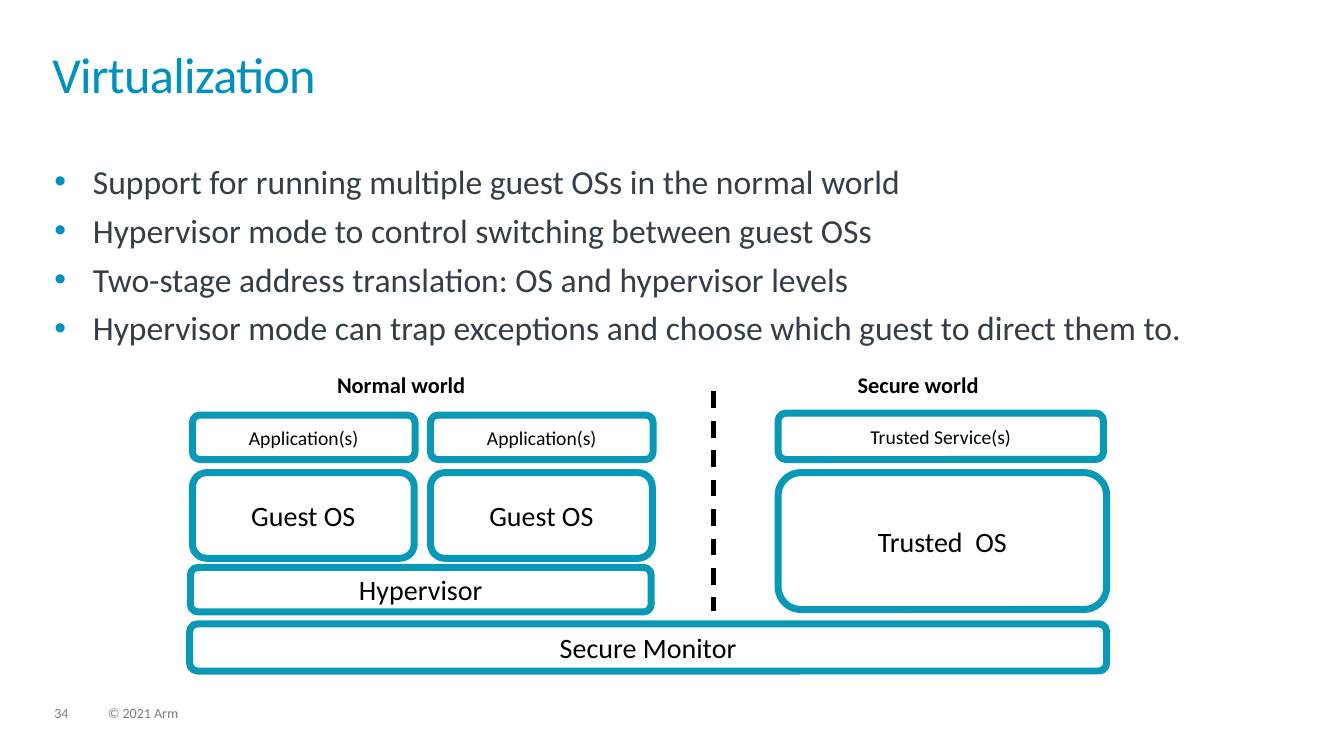
from pptx import Presentation
from pptx.dml.color import RGBColor
from pptx.enum.dml import MSO_LINE
from pptx.enum.shapes import MSO_CONNECTOR, MSO_SHAPE
from pptx.enum.text import MSO_ANCHOR, MSO_AUTO_SIZE, PP_ALIGN
from pptx.oxml.xmlchemy import OxmlElement
from pptx.util import Cm, Pt

BLACK = RGBColor(0x00, 0x00, 0x00)
GREY = RGBColor(0x7F, 0x7F, 0x7F)
SLATE = RGBColor(0x33, 0x3E, 0x48)
BLUE = RGBColor(0x00, 0x91, 0xBD)
TEAL = RGBColor(0x09, 0x98, 0xB5)


class SlideBuilder:
    font_name = "Calibri"

    def __init__(self, slide):
        self.slide = slide

    def run(self, paragraph, words, size, color, bold=False):
        run = paragraph.add_run()
        run.text = words
        run.font.name = self.font_name
        run.font.size = Pt(size)
        run.font.bold = bold
        run.font.color.rgb = color
        return run

    def frame(self, shape, anchor=MSO_ANCHOR.TOP, wrap=True):
        frame = shape.text_frame
        frame.margin_left = frame.margin_right = 0
        frame.margin_top = frame.margin_bottom = 0
        frame.vertical_anchor = anchor
        frame.word_wrap = wrap
        frame.auto_size = MSO_AUTO_SIZE.NONE
        return frame

    def place(self, shape, left, top, width, height):
        shape.left, shape.top = Cm(left), Cm(top)
        shape.width, shape.height = Cm(width), Cm(height)

    def title(self, words, *area):
        title = self.slide.shapes.title
        self.place(title, *area)
        paragraph = self.frame(title).paragraphs[0]
        paragraph.alignment = PP_ALIGN.LEFT
        paragraph.line_spacing = 0.85
        run = self.run(paragraph, words, 36, BLUE)
        run._r.get_or_add_rPr().set("spc", "-50")

    def bullets(self, items, *area):
        body = self.slide.placeholders[1]
        self.place(body, *area)
        frame = self.frame(body)
        for index, item in enumerate(items):
            paragraph = frame.add_paragraph() if index else frame.paragraphs[0]
            paragraph.space_before = Pt(6 if index else 0)
            self.bullet_mark(paragraph)
            self.run(paragraph, item, 24, SLATE)

    def bullet_mark(self, paragraph):
        properties = paragraph._p.get_or_add_pPr()
        properties.set("marL", str(Cm(0.97)))
        properties.set("indent", str(-Cm(0.97)))
        mark_color = OxmlElement("a:buClr")
        rgb = OxmlElement("a:srgbClr")
        rgb.set("val", str(BLUE))
        mark_color.append(rgb)
        mark = OxmlElement("a:buChar")
        mark.set("char", "•")
        properties.extend([mark_color, mark])

    def block(self, words, size, *area):
        block = self.slide.shapes.add_shape(
            MSO_SHAPE.ROUNDED_RECTANGLE, *map(Cm, area))
        block.shadow.inherit = False
        block.fill.background()
        block.line.color.rgb = TEAL
        block.line.width = Pt(5)
        paragraph = self.frame(block, MSO_ANCHOR.MIDDLE).paragraphs[0]
        paragraph.alignment = PP_ALIGN.CENTER
        self.run(paragraph, words, size, BLACK)

    def heading(self, words, *area):
        box = self.slide.shapes.add_textbox(*map(Cm, area))
        paragraph = self.frame(box, MSO_ANCHOR.MIDDLE, False).paragraphs[0]
        paragraph.alignment = PP_ALIGN.CENTER
        self.run(paragraph, words, 16, BLACK, bold=True)

    def footer(self, words, *area):
        box = self.slide.shapes.add_textbox(*map(Cm, area))
        paragraph = self.frame(box).paragraphs[0]
        paragraph.line_spacing = 0.9
        self.run(paragraph, words, 10, GREY)

    def divider(self, x, top, bottom):
        divider = self.slide.shapes.add_connector(
            MSO_CONNECTOR.STRAIGHT, Cm(x), Cm(top), Cm(x), Cm(bottom))
        divider.line.color.rgb = BLACK
        divider.line.width = Pt(3)
        divider.line.dash_style = MSO_LINE.DASH
        divider._element.spPr.append(OxmlElement("a:effectLst"))


def main():
    deck = Presentation()
    deck.slide_width, deck.slide_height = Cm(33.87), Cm(19.05)
    builder = SlideBuilder(deck.slides.add_slide(deck.slide_layouts[1]))

    # Title and key points
    builder.title("Virtualization", 1.32, 1.32, 31.19, 1.83)
    builder.bullets([
        "Support for running multiple guest OSs in the normal world",
        "Hypervisor mode to control switching between guest OSs",
        "Two-stage address translation: OS and hypervisor levels",
        "Hypervisor mode can trap exceptions and choose which guest "
        "to direct them to.",
    ], 1.37, 4.06, 31.06, 11.35)

    # Normal world: two guests on one hypervisor
    builder.heading("Normal world", 8.18, 9.27, 3.86, 0.86)
    for guest in range(2):
        guest_left = 4.85 + 6 * guest
        builder.block("Application(s)", 14, guest_left, 10.46, 5.61, 1.12)
        builder.block("Guest OS", 20, guest_left, 11.91, 5.59, 2.16)
    builder.block("Hypervisor", 20, 4.8, 14.3, 11.61, 1.12)

    # Secure world
    builder.divider(17.98, 9.86, 15.39)
    builder.heading("Secure world", 21.31, 9.27, 3.66, 0.86)
    builder.block("Trusted Service(s)", 14, 19.61, 10.41, 8.2, 1.17)
    builder.block("Trusted  OS", 20, 19.61, 11.91, 8.28, 3.45)

    # Monitor shared by both worlds
    builder.block("Secure Monitor", 20, 4.78, 15.72, 23.11, 1.19)

    # Footer
    builder.footer("34", 1.37, 17.81, 0.86, 0.38)
    builder.footer("© 2021 Arm", 2.72, 17.81, 12.88, 0.38)

    deck.save("out.pptx")


if __name__ == "__main__":
    main()
